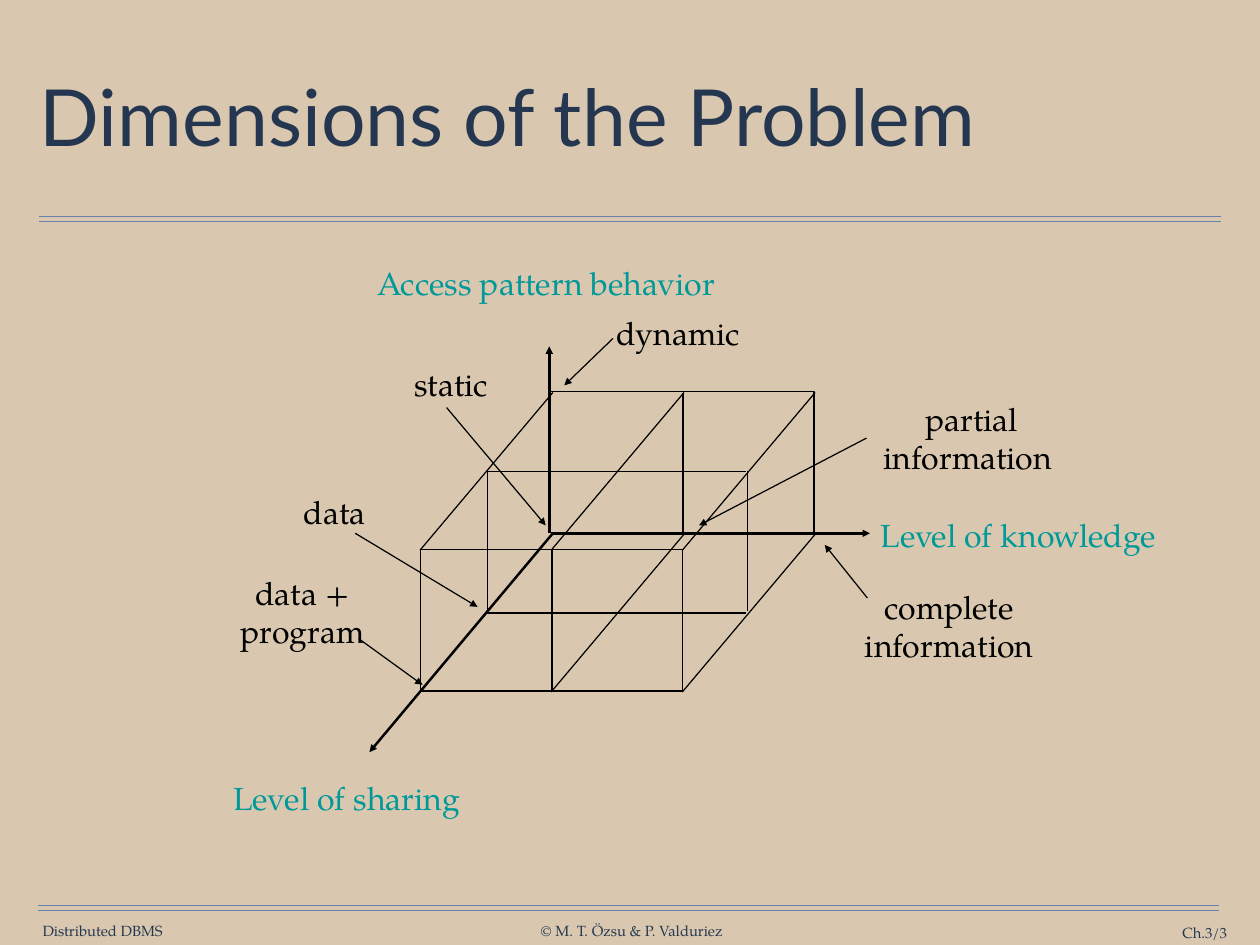
from dataclasses import dataclass
from itertools import product

from lxml.etree import SubElement
from pptx import Presentation
from pptx.dml.color import RGBColor
from pptx.enum.text import MSO_ANCHOR as Anchor, MSO_AUTO_SIZE as Fit, PP_ALIGN as Align
from pptx.oxml.ns import qn
from pptx.shapes.base import BaseShape as Shape
from pptx.shapes.connector import Connector
from pptx.util import Pt

SAND = RGBColor(0xD9, 0xC8, 0xAF)
NAVY = RGBColor(0x25, 0x37, 0x50)
STEEL = RGBColor(0x66, 0x82, 0xAA)
TEAL = RGBColor(0x00, 0x99, 0x99)
BLACK = RGBColor(0, 0, 0)
SERIF = "TeX Gyre Pagella"
SANS = "Lato"


@dataclass
class Label:
    text: str
    left: float
    top: float
    width: float
    height: float
    wrap: bool = False
    align: Align = Align.CENTER


@dataclass
class Line:
    x1: float
    y1: float
    x2: float
    y2: float
    color: RGBColor = BLACK
    weight: float = 1
    arrow: bool = False


FOOTERS = [
    Label("Distributed DBMS", 33.8, 749.5, 99.4, 14.4),
    Label("© M. T. Özsu & P. Valduriez", 438.5, 749.5, 149.8, 14.4),
    Label("Ch.3/3", 886.3, 751, 110.9, 14.4, wrap=True, align=Align.RIGHT),
]
AXIS_NAMES = [
    Label("Level of sharing", 180.7, 634.3, 202.3, 33.1),
    Label("Level of knowledge", 705.6, 421.2, 244.1, 33.1),
    Label("Access pattern behavior", 297.4, 216, 293, 33.1),
]
PARTIAL = Label("partial\ninformation ", 704.2, 319.7, 171.4, 72.7, wrap=True)
VALUES = [
    Label("dynamic", 490.3, 249.8, 121.7, 41.8),
    Label("static", 326.2, 291.6, 81.4, 41.8),
    Label("data", 236.2, 395.3, 71.3, 41.8),
    Label("data +\nprogram", 185, 460.8, 121.7, 72.7),
    Label("complete\ninformation", 691.9, 472.3, 159.1, 72.7),
]
AXES = [
    Line(446.4, 433.4, 446.4, 281.5, weight=2, arrow=True),
    Line(447.8, 433.4, 707, 433.4, weight=2, arrow=True),
    Line(449.3, 433.4, 300.2, 611.3, weight=2, arrow=True),
]
POINTERS = [
    Line(498.2, 275, 458.6, 313.2, arrow=True),
    Line(362.9, 331.2, 443.5, 427, arrow=True),
    Line(704.9, 486, 670.3, 442.8, arrow=True),
    Line(288.7, 433.4, 388.1, 493.2, arrow=True),
    Line(291.6, 519.1, 343.4, 556.6, arrow=True),
]

# Cube: column width, height, and the run from back to front
COL, RISE = 106.6, 115.2
BACK_X, BACK_Y = 449.3, 319
RUN_X, RUN_Y = -108, 128.2

prs = Presentation()
prs.slide_width, prs.slide_height = Pt(1024), Pt(768)
slide = prs.slides.add_slide(prs.slide_layouts[5])
shapes = slide.shapes


def write(shape: Shape, text: str, *, size: float, color: RGBColor, font: str = SERIF,
          align: Align = Align.CENTER, anchor: Anchor = Anchor.TOP, spacing: float = 1,
          pad: tuple[float, float] = (0, 0), wrap: bool = True, fit: Fit = Fit.NONE) -> None:
    frame = shape.text_frame
    frame.text = text
    frame.word_wrap, frame.auto_size, frame.vertical_anchor = wrap, fit, anchor
    frame.margin_left = frame.margin_right = Pt(pad[0])
    frame.margin_top = frame.margin_bottom = Pt(pad[1])
    for par in frame.paragraphs:
        par.alignment, par.line_spacing = align, spacing
        for run in par.runs:
            run.font.name, run.font.size = font, Pt(size)
            run.font.color.rgb = color


def label(item: Label, **style) -> Shape:
    box = shapes.add_textbox(Pt(item.left), Pt(item.top), Pt(item.width), Pt(item.height))
    write(box, item.text, wrap=item.wrap, align=item.align, fit=Fit.SHAPE_TO_FIT_TEXT, **style)
    return box


def draw(item: Line) -> Connector:
    link = shapes.add_connector(1, Pt(item.x1), Pt(item.y1), Pt(item.x2), Pt(item.y2))
    link.line.color.rgb, link.line.width = item.color, Pt(item.weight)
    if item.arrow:
        SubElement(link.line._get_or_add_ln(), qn("a:tailEnd"), type="triangle")
    SubElement(link._element.spPr, qn("a:effectLst"))
    return link


def outline(*points: tuple[float, float]) -> None:
    spots = [(Pt(x), Pt(y)) for x, y in points]
    form = shapes.build_freeform(*spots[0])
    form.add_line_segments(spots[1:], close=False)
    shape = form.convert_to_shape()
    shape.shadow.inherit = False
    shape.fill.background()
    shape.line.color.rgb, shape.line.width = BLACK, Pt(1)


def frame_page() -> None:
    slide.background.fill.solid()
    slide.background.fill.fore_color.rgb = SAND
    for left, top in [(32, 175.7), (31, 736)]:
        for y in (top, top + 4.2):
            draw(Line(left, y, left + 960, y, STEEL))
    for item in FOOTERS:
        label(item, size=12, color=NAVY, anchor=Anchor.MIDDLE)
    title = shapes.title
    title.left, title.top, title.width, title.height = Pt(28), Pt(35.3), Pt(967.7), Pt(126.7)
    write(title, "Dimensions of the Problem", size=64, color=NAVY, font=SANS,
          align=Align.LEFT, anchor=Anchor.MIDDLE, spacing=0.9, pad=(4.3, 4.3))


def draw_cube() -> None:
    # Edges from back to front; the sharing axis takes one of them
    for col, row in product(range(3), range(2)):
        if (col, row) != (0, 1):
            x, y = BACK_X + col * COL, BACK_Y + row * RISE
            draw(Line(x, y, x + RUN_X, y + RUN_Y))
    # Upright edges
    for x, y in [(396, 383), (607.7, 383), (342, 447.1), (555.1, 319), (448.6, 447.1)]:
        draw(Line(x, y, x, y + RISE - 1.4))
    # Middle, front and back planes
    for y in (383, 383 + RISE):
        draw(Line(396, y, 606.2, y))
    outline((341.3, 446.4), (554.6, 446.4), (554.6, 561.6), (341.3, 561.6))
    outline((447.8, 318.2), (661.5, 318.2), (661.5, 433.4))


def main() -> None:
    frame_page()
    draw_cube()
    for line in AXES + POINTERS:
        draw(line)
    for item in AXIS_NAMES:
        label(item, size=26, color=TEAL, spacing=0.85, pad=(7.2, 2.9))
    for item in VALUES:
        label(item, size=26, color=BLACK, pad=(10, 5))
    # Pointer joined to the left side of its label
    box = label(PARTIAL, size=26, color=BLACK, pad=(10, 5))
    draw(Line(704.2, 356, 568.1, 427, arrow=True)).begin_connect(box, 1)
    prs.save("out.pptx")


if __name__ == "__main__":
    main()
